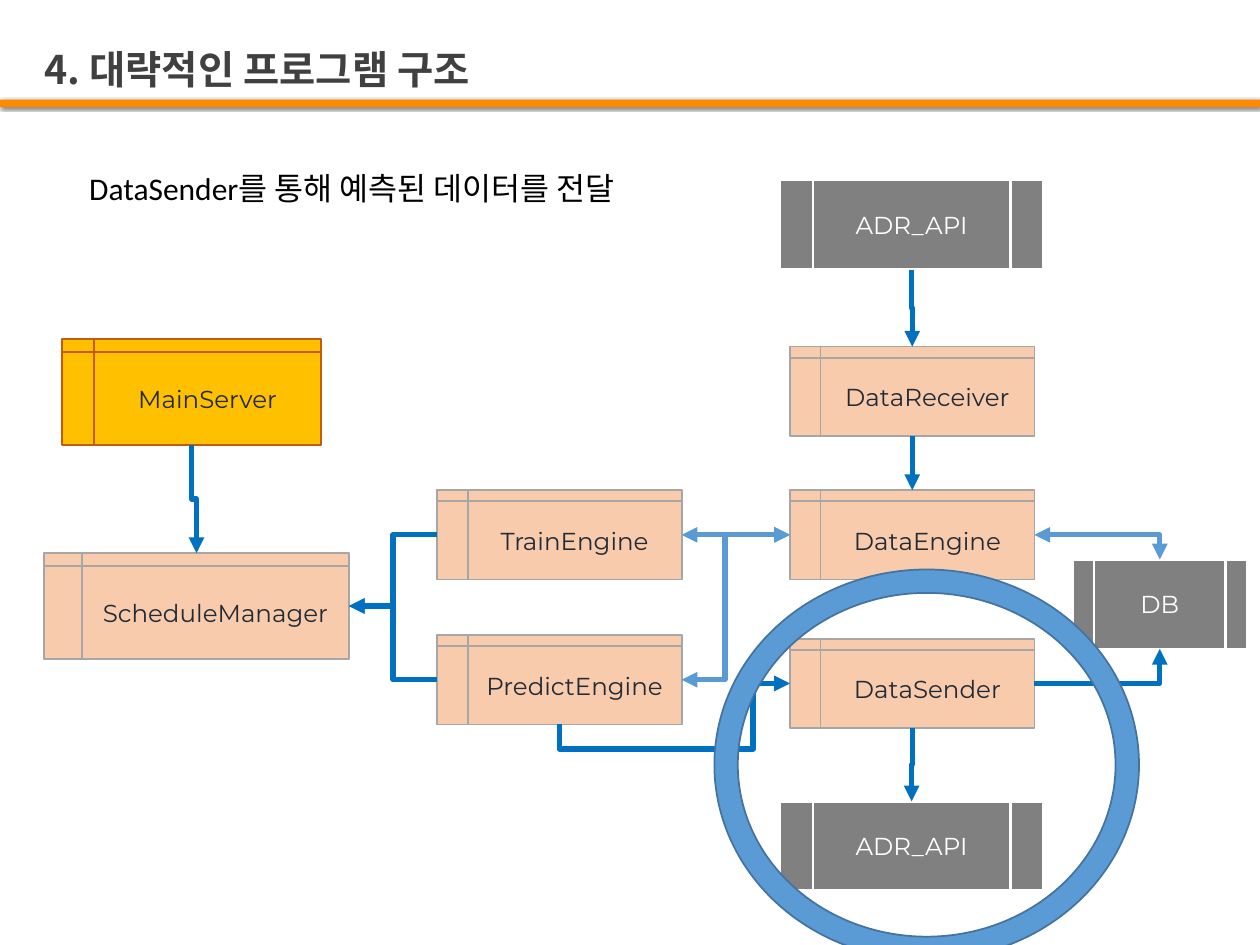
from dataclasses import dataclass
from typing import Optional

import pptx
import pptx.dml.color
import pptx.enum.shapes
import pptx.enum.text
import pptx.oxml
import pptx.oxml.ns
import pptx.oxml.xmlchemy
import pptx.util

SHAPE = pptx.enum.shapes.MSO_SHAPE
CONNECTOR = pptx.enum.shapes.MSO_CONNECTOR
ANCHOR = pptx.enum.text.MSO_ANCHOR
ALIGN = pptx.enum.text.PP_ALIGN
WIDTH, HEIGHT = pptx.util.Inches(10), pptx.util.Inches(7.5)
COLUMNS, ROWS = 100, 75
TOP, LEFT, BOTTOM, RIGHT = range(4)


@dataclass(frozen=True)
class Theme:
    title_font: str = "Noto Sans CJK KR"
    body_font: str = "Calibri"
    box_font: str = "Montserrat"
    title_size: float = 22.5
    body_size: float = 18
    box_size: float = 14
    title: str = "404040"
    body: str = "000000"
    bar: str = "FF8A00"
    flow: str = "0070C0"
    exchange: str = "5B9BD5"
    ring_line: str = "43739E"


@dataclass(frozen=True)
class Style:
    preset: SHAPE
    fill: str
    line: str
    weight: float
    ink: str


@dataclass(frozen=True)
class Node:
    key: str
    label: str
    left: float
    top: float
    width: float
    height: float
    style: Style


@dataclass(frozen=True)
class Link:
    start: str
    start_side: int
    end: str
    end_side: int
    geometry: str = "bentConnector3"
    adjust: tuple[float, ...] = ()
    two_way: bool = False


THEME = Theme()
MODULE = Style(SHAPE.FLOWCHART_INTERNAL_STORAGE, "F8CBAD", "A6A6A6", 1, "222A35")
SERVER = Style(SHAPE.FLOWCHART_INTERNAL_STORAGE, "FFC000", "C55A11", 1, "222A35")
OUTSIDE = Style(SHAPE.FLOWCHART_PREDEFINED_PROCESS, "808080", "FFFFFF", 1.5, "FFFFFF")

ENGINE_LEFT, DATA_LEFT, API_LEFT = 34.7, 62.7, 61.9
MODULE_SIZE = (19.4, 7.1)
API_SIZE = (20.9, 7.1)
NODES = [
    Node("source", "ADR_API", API_LEFT, 14.3, *API_SIZE, OUTSIDE),
    Node("target", "ADR_API", API_LEFT, 63.6, *API_SIZE, OUTSIDE),
    Node("server", "MainServer", 4.9, 26.9, 20.6, 8.4, SERVER),
    Node("schedule", "ScheduleManager", 3.5, 43.9, 24.2, 8.4, MODULE),
    Node("train", "TrainEngine", ENGINE_LEFT, 38.9, *MODULE_SIZE, MODULE),
    Node("predict", "PredictEngine", ENGINE_LEFT, 50.4, *MODULE_SIZE, MODULE),
    Node("receiver", "DataReceiver", DATA_LEFT, 27.5, *MODULE_SIZE, MODULE),
    Node("engine", "DataEngine", DATA_LEFT, 38.9, *MODULE_SIZE, MODULE),
    Node("sender", "DataSender", DATA_LEFT, 50.7, *MODULE_SIZE, MODULE),
    Node("database", "DB", 85.1, 44.4, 13.9, 7.1, OUTSIDE),
]
LINKS = [
    Link("server", BOTTOM, "schedule", TOP),
    Link("train", LEFT, "schedule", RIGHT),
    Link("predict", LEFT, "schedule", RIGHT),
    Link("source", BOTTOM, "receiver", TOP),
    Link("receiver", BOTTOM, "engine", TOP, "line"),
    Link("train", RIGHT, "engine", LEFT, "line", two_way=True),
    Link("predict", RIGHT, "engine", LEFT, adjust=(0.4,), two_way=True),
    Link("sender", BOTTOM, "target", TOP),
    Link("predict", BOTTOM, "sender", LEFT, "bentConnector4", (-0.6, 0.84)),
    Link("engine", RIGHT, "database", TOP, "bentConnector2", two_way=True),
    Link("sender", RIGHT, "database", BOTTOM, "bentConnector2"),
]


def across(columns: float) -> int:
    return round(WIDTH * columns / COLUMNS)


def down(rows: float) -> int:
    return round(HEIGHT * rows / ROWS)


def frame(left: float, top: float, width: float, height: float) -> tuple[int, ...]:
    return across(left), down(top), across(width), down(height)


def color(value: str) -> pptx.dml.color.RGBColor:
    return pptx.dml.color.RGBColor.from_string(value)


def add_child(parent, tag: str, **attributes: str):
    child = parent.makeelement(pptx.oxml.ns.qn(tag), attributes)
    parent.append(child)
    return child


def write(holder, text: str, *, font: str, size: float, ink: str, bold: bool = False,
          align: ALIGN = ALIGN.LEFT, anchor: ANCHOR = ANCHOR.TOP,
          inset: Optional[float] = None, spacing: Optional[float] = None) -> None:
    box = holder.text_frame
    box.word_wrap = True
    box.vertical_anchor = anchor
    if inset is not None:
        box.margin_left = box.margin_right = box.margin_top = box.margin_bottom = inset
    para = box.paragraphs[0]
    para.alignment = align
    para.line_spacing = spacing
    span = para.add_run()
    span.text = text
    span.font.name, span.font.size, span.font.bold = font, pptx.util.Pt(size), bold
    span.font.color.rgb = color(ink)
    add_child(span.font._element, "a:ea", typeface=THEME.title_font)


def draw_shape(page, preset: SHAPE, place: tuple[int, ...], fill: str,
               line: Optional[str] = None, weight: float = 1):
    shape = page.shapes.add_shape(preset, *place)
    shape.shadow.inherit = False
    shape.fill.solid()
    shape.fill.fore_color.rgb = color(fill)
    if line:
        shape.line.color.rgb = color(line)
        shape.line.width = pptx.util.Pt(weight)
    else:
        shape.line.fill.background()
    return shape


def draw_bar(page) -> None:
    bar = draw_shape(page, SHAPE.RECTANGLE, frame(0, 7.9, 100, 0.6), THEME.bar)
    effects = bar._element.spPr.find(pptx.oxml.ns.qn("a:effectLst"))
    shadow = add_child(effects, "a:outerShdw", blurRad=str(pptx.util.Pt(2)),
                       dist=str(pptx.util.Pt(1)), dir="2700000")
    add_child(add_child(shadow, "a:srgbClr", val="000000"), "a:alpha", val="50000")


def draw_node(page, node: Node):
    style = node.style
    place = frame(node.left, node.top, node.width, node.height)
    shape = draw_shape(page, style.preset, place, style.fill, style.line, style.weight)
    write(shape, node.label, font=THEME.box_font, size=THEME.box_size, ink=style.ink,
          align=ALIGN.CENTER, anchor=ANCHOR.MIDDLE)
    return shape


def side_point(shape, side: int) -> tuple[int, int]:
    x = {LEFT: 0, RIGHT: shape.width}.get(side, shape.width // 2)
    y = {TOP: 0, BOTTOM: shape.height}.get(side, shape.height // 2)
    return shape.left + x, shape.top + y


def turn_vertical(connector, start: tuple[int, int], end: tuple[int, int]) -> None:
    run, drop = end[0] - start[0], end[1] - start[1]
    connector.width, connector.height = abs(drop), abs(run)
    connector.left = (start[0] + end[0] - abs(drop)) // 2
    connector.top = (start[1] + end[1] - abs(run)) // 2
    transform = connector._element.spPr.xfrm
    transform.set("rot", "5400000")
    transform.set("flipH", str(int(drop < 0)))
    transform.set("flipV", str(int(run > 0)))


def draw_link(page, link: Link, shapes: dict) -> None:
    first, last = shapes[link.start], shapes[link.end]
    start, end = side_point(first, link.start_side), side_point(last, link.end_side)
    straight = link.geometry == "line"
    kind = CONNECTOR.STRAIGHT if straight else CONNECTOR.ELBOW
    connector = page.shapes.add_connector(kind, *start, *end)
    properties = connector._element.spPr
    if straight:
        connector.begin_connect(first, link.start_side)
        connector.end_connect(last, link.end_side)
    else:
        geometry = properties.find(pptx.oxml.ns.qn("a:prstGeom"))
        geometry.set("prst", link.geometry)
        guides = geometry.get_or_add_avLst()
        for number, share in enumerate(link.adjust, 1):
            add_child(guides, "a:gd", name=f"adj{number}", fmla=f"val {round(share * 100000)}")
        if link.start_side in (TOP, BOTTOM):
            turn_vertical(connector, start, end)
    connector.line.color.rgb = color(THEME.exchange if link.two_way else THEME.flow)
    connector.line.width = pptx.util.Pt(3)
    line = connector.line._get_or_add_ln()
    if link.two_way:
        add_child(line, "a:headEnd", type="triangle")
    add_child(line, "a:tailEnd", type="triangle")
    add_child(properties, "a:effectLst")


def main() -> None:
    deck = pptx.Presentation()
    deck.slide_width, deck.slide_height = WIDTH, HEIGHT
    page = deck.slides.add_slide(deck.slide_layouts[5])
    draw_bar(page)
    title = page.shapes.title
    title.left, title.top, title.width, title.height = frame(3.5, 4.3, 92, 3)
    write(title, "4. 대략적인 프로그램 구조", font=THEME.title_font, size=THEME.title_size,
          ink=THEME.title, bold=True, anchor=ANCHOR.MIDDLE, inset=0, spacing=0.8)
    shapes = {node.key: draw_node(page, node) for node in NODES}
    for link in LINKS:
        draw_link(page, link, shapes)
    ring = draw_shape(page, SHAPE.DONUT, frame(56.7, 45.2, 33.7, 31), THEME.exchange, THEME.ring_line)
    ring.adjustments[0] = 0.06
    caption = page.shapes.add_textbox(*frame(6.1, 12.9, 51.5, 4))
    write(caption, "DataSender를 통해 예측된 데이터를 전달", font=THEME.body_font,
          size=THEME.body_size, ink=THEME.body)
    deck.save("out.pptx")


if __name__ == "__main__":
    main()
